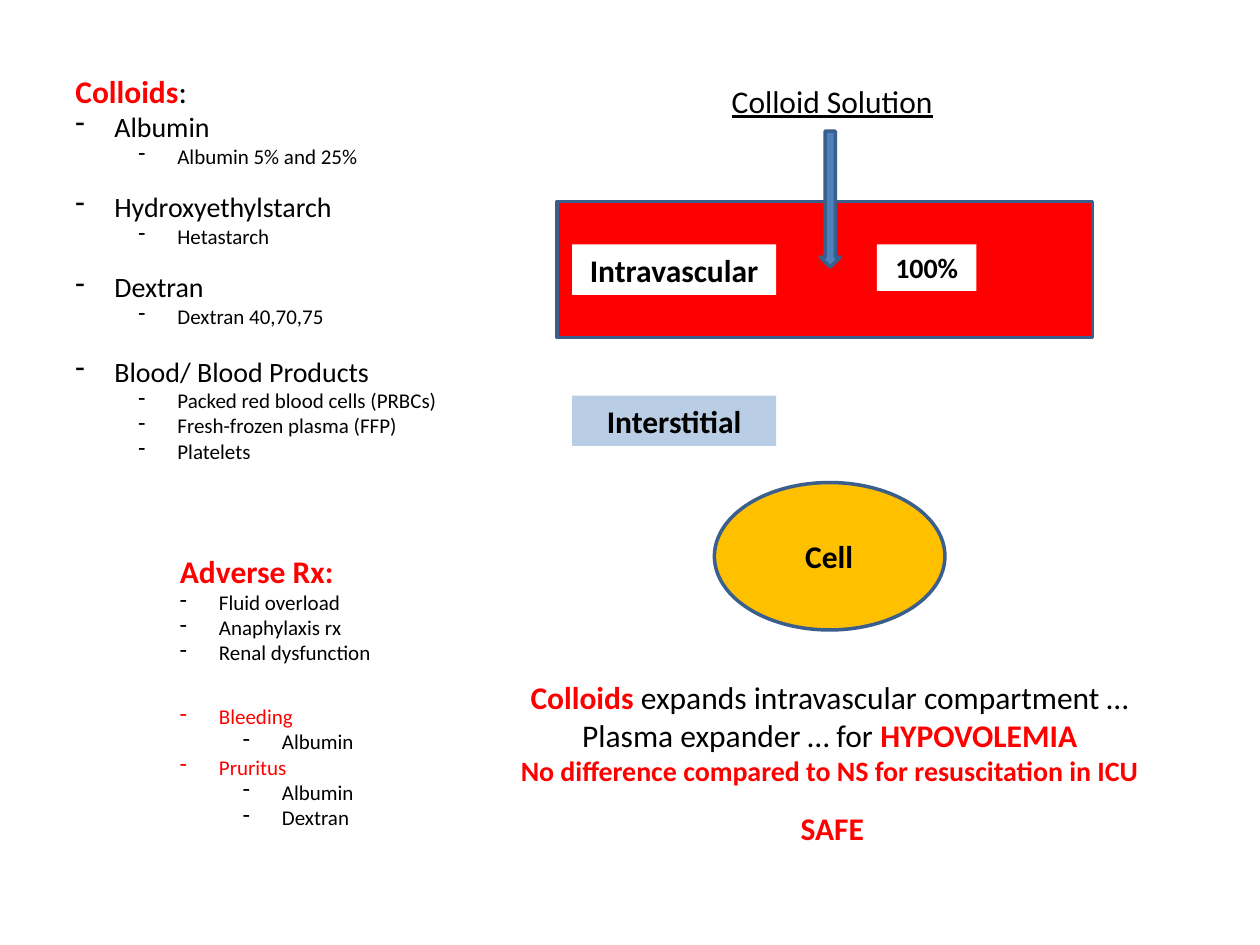
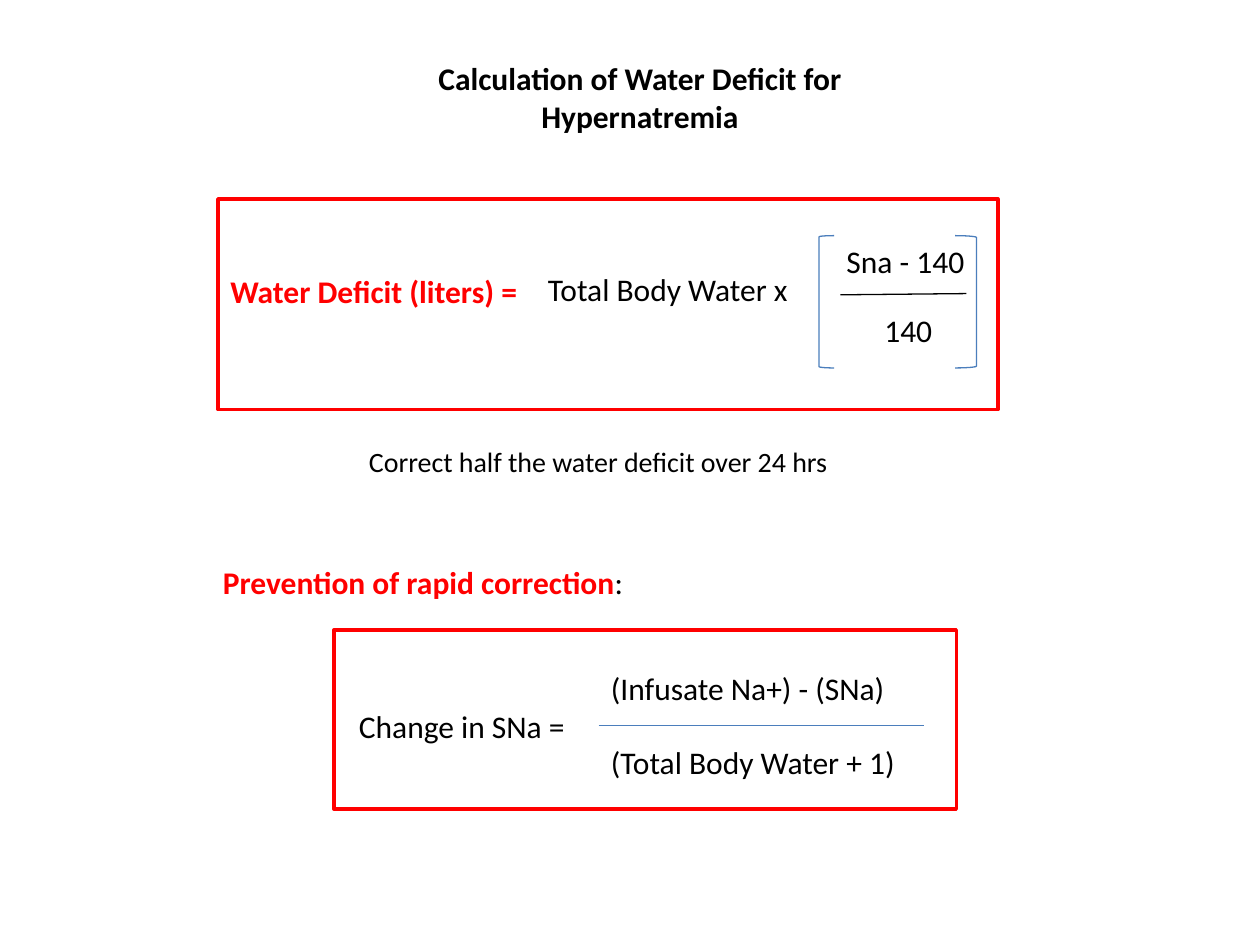
import pptx
import pptx.util
import pptx.dml.color
import pptx.enum.shapes
import pptx.enum.text
import lxml.etree
from pptx.oxml.ns import qn

Inches = pptx.util.Inches
Pt = pptx.util.Pt
Kind = pptx.enum.shapes.MSO_SHAPE
Align = pptx.enum.text.PP_ALIGN

RED, BLACK, WHITE = "FF0000", "000000", "FFFFFF"
GOLD, PALE = "FFC000", "B9CDE5"
BLUE, EDGE, THIN = "4F81BD", "3A5F8C", "4B7EBC"


def hue(code):
    return pptx.dml.color.RGBColor.from_string(code)


def write(page, place, lines, align=Align.LEFT, fill=None):
    box = page.shapes.add_textbox(*map(Inches, place))
    if fill:
        box.fill.solid()
        box.fill.fore_color.rgb = hue(fill)
    frame = box.text_frame
    frame.word_wrap = True
    frame.auto_size = pptx.enum.text.MSO_AUTO_SIZE.SHAPE_TO_FIT_TEXT
    for spot, (runs, left, gap) in enumerate(lines):
        para = frame.add_paragraph() if spot else frame.paragraphs[0]
        para.alignment = align
        if left:
            props = para._p.get_or_add_pPr()
            props.set("marL", str(Inches(left)))
            props.set("indent", str(Inches(-0.31)))
            lxml.etree.SubElement(props, qn("a:buFontTx"))
            lxml.etree.SubElement(props, qn("a:buChar")).set("char", "-")
        if gap:
            para.space_before = Pt(gap)
        for words, size, tint, bold in runs:
            run = para.add_run()
            run.text = words
            run.font.name = "Calibri"
            run.font.size = Pt(size)
            run.font.bold = bold
            run.font.color.rgb = hue(tint)
    return box


deck = pptx.Presentation()
deck.slide_width, deck.slide_height = Inches(10), Inches(7.5)
fluid, water = [deck.slides.add_slide(deck.slide_layouts[6]) for _ in range(2)]

shapes = [
    (fluid, Kind.RECTANGLE, (4.42, 1.6, 4.25, 1.08), RED, EDGE, 2),
    (fluid, Kind.OVAL, (5.67, 3.83, 1.83, 1.17), GOLD, EDGE, 2),
    (fluid, Kind.DOWN_ARROW, (6.51, 1.04, 0.16, 1.08), BLUE, EDGE, 2),
    (water, Kind.LEFT_BRACKET, (6.5, 1.87, 0.12, 1.05), None, THIN, 0.75),
    (water, Kind.RIGHT_BRACKET, (7.58, 1.87, 0.17, 1.05), None, THIN, 0.75),
    (water, Kind.RECTANGLE, (1.73, 1.58, 6.19, 1.67), None, RED, 2),
    (water, Kind.RECTANGLE, (2.65, 5, 4.94, 1.42), None, RED, 2),
]
for page, kind, place, fill, edge, width in shapes:
    shape = page.shapes.add_shape(kind, *map(Inches, place))
    shape.shadow.inherit = False
    if fill:
        shape.fill.solid()
        shape.fill.fore_color.rgb = hue(fill)
    else:
        shape.fill.background()
    shape.line.color.rgb = hue(edge)
    shape.line.width = Pt(width)

bars = [((6.67, 2.34, 7.67, 2.33), BLACK), ((4.75, 5.76, 7.33, 5.76), THIN)]
for ends, tint in bars:
    bar = water.shapes.add_connector(
        pptx.enum.shapes.MSO_CONNECTOR.STRAIGHT, *map(Inches, ends))
    bar.line.color.rgb = hue(tint)
    bar.line.width = Pt(0.75)
    lxml.etree.SubElement(bar._element.spPr, qn("a:effectLst"))

groups = [
    ("Albumin", ["Albumin 5% and 25%"], 0),
    ("Hydroxyethylstarch", ["Hetastarch"], 12.2),
    ("Dextran", ["Dextran 40,70,75"], 12.2),
    ("Blood/ Blood Products",
     ["Packed red blood cells (PRBCs)", "Fresh-frozen plasma (FFP)", "Platelets"], 14.6),
]
lines = [([("Colloids", 18, RED, True), (":", 18, BLACK, False)], 0, 0)]
for name, items, gap in groups:
    lines.append(([(name, 16, BLACK, False)], 0.31, gap))
    lines += [([(item, 12, BLACK, False)], 0.81, 0) for item in items]
write(fluid, (0.5, 0.52, 3.17, 3.23), lines)

risks = [
    ("Fluid overload", BLACK, 0.31, 0),
    ("Anaphylaxis rx", BLACK, 0.31, 0),
    ("Renal dysfunction", BLACK, 0.31, 0),
    ("Bleeding", RED, 0.31, 22),
    ("Albumin", BLACK, 0.81, 0),
    ("Pruritus", RED, 0.31, 0),
    ("Albumin", BLACK, 0.81, 0),
    ("Dextran", BLACK, 0.81, 0),
]
lines = [([("Adverse Rx:", 18, RED, True)], 0, 0)]
lines += [([(name, 12, tint, False)], left, gap) for name, tint, left, gap in risks]
write(fluid, (1.33, 4.33, 2, 2.32), lines)

write(fluid, (4, 5.33, 5.17, 0.98), [
    ([("Colloids", 18, RED, True),
      (" expands intravascular compartment … Plasma expander … for ", 18, BLACK, False),
      ("HYPOVOLEMIA", 18, RED, True)], 0, 0),
    ([("No difference compared to NS for resuscitation in ICU", 16, RED, True)], 0, 0),
], Align.CENTER)

head = write(fluid, (5.27, 0.6, 2.67, 0.4),
             [([("Colloid Solution", 18, BLACK, False)], 0, 0)], Align.CENTER)
head.text_frame.paragraphs[0].runs[0].font.underline = True

write(water, (1.67, 4.42, 3.5, 0.4), [
    ([("Prevention of rapid correction", 18, RED, True), (":", 18, BLACK, False)], 0, 0)])

mid, left = Align.CENTER, Align.LEFT
labels = [
    (fluid, (6.29, 4.21, 0.58, 0.4), "Cell", 18, BLACK, True, mid, None),
    (fluid, (4.54, 1.94, 1.62, 0.4), "Intravascular", 18, BLACK, True, mid, WHITE),
    (fluid, (4.54, 3.14, 1.62, 0.4), "Interstitial", 18, BLACK, True, mid, PALE),
    (fluid, (6.96, 1.94, 0.79, 0.37), "100%", 16, BLACK, True, mid, WHITE),
    (fluid, (6.21, 6.37, 0.79, 0.4), "SAFE", 18, RED, True, mid, None),
    (water, (2.83, 0.42, 4.5, 0.71), "Calculation of Water Deficit for Hypernatremia",
     18, BLACK, True, mid, None),
    (water, (1.73, 2.11, 2.5, 0.4), "Water Deficit (liters) =", 18, RED, True, left, None),
    (water, (4.25, 2.09, 2.25, 0.4), "Total Body Water x", 18, BLACK, False, left, None),
    (water, (6.62, 1.87, 1.46, 0.4), "Sna - 140", 18, BLACK, False, left, None),
    (water, (6.92, 2.42, 0.58, 0.4), "140", 18, BLACK, False, left, None),
    (water, (2.83, 3.48, 4.02, 0.37), "Correct half the water deficit over 24 hrs",
     16, BLACK, False, left, None),
    (water, (2.75, 5.56, 1.92, 0.4), "Change in SNa =", 18, BLACK, False, left, None),
    (water, (4.75, 5.26, 2.58, 0.4), "(Infusate Na+) - (SNa)", 18, BLACK, False, left, None),
    (water, (4.75, 5.85, 3, 0.4), "(Total Body Water + 1)", 18, BLACK, False, left, None),
]
for page, place, words, size, tint, bold, align, fill in labels:
    write(page, place, [([(words, size, tint, bold)], 0, 0)], align, fill)

deck.save("out.pptx")
